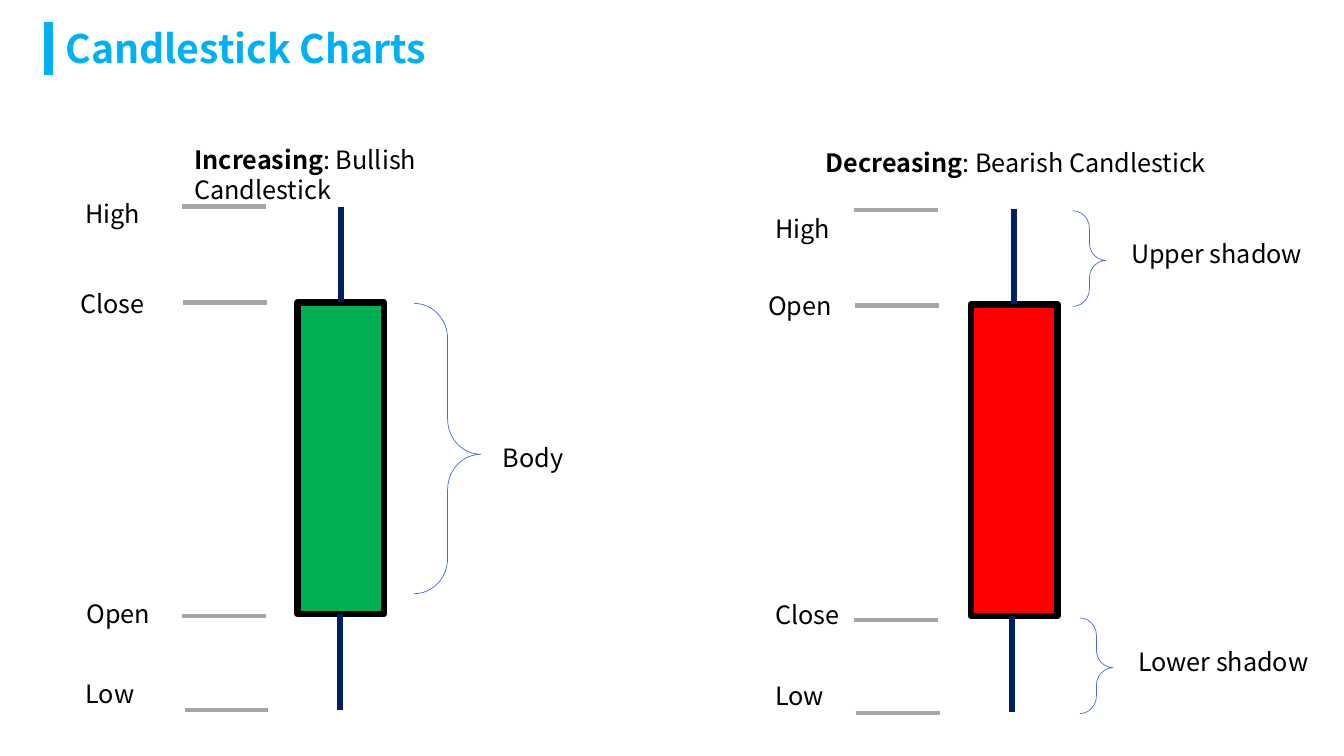
from lxml.etree import SubElement
from pptx import Presentation
from pptx.dml.color import RGBColor
from pptx.enum.shapes import MSO_CONNECTOR as Connector, MSO_SHAPE as Preset
from pptx.enum.text import MSO_AUTO_SIZE as AutoSize
from pptx.oxml.ns import qn
from pptx.util import Inches, Pt

FONT = "Noto Sans CJK KR"
BLACK = RGBColor(0, 0, 0)
SKY = RGBColor(0x00, 0xB0, 0xF0)
GREEN = RGBColor(0x00, 0xB0, 0x50)
RED = RGBColor(0xFF, 0, 0)
NAVY = RGBColor(0x00, 0x20, 0x60)
GREY = RGBColor(0xA6, 0xA6, 0xA6)
BLUE = RGBColor(0x44, 0x72, 0xC4)

COLUMN = ROW = Inches(1)
TEXT_ROWS = 0.4
LABEL_COLUMNS = 0.96
TICK_COLUMNS = 0.83
BODY_COLUMNS, BODY_ROWS, WICK_ROWS = 0.86, 3.09, 0.95


def place(left, top, width, height):
    """Turn grid columns and rows into slide lengths."""
    return [int(n * unit) for n, unit in
            zip((left, top, width, height), (COLUMN, ROW, COLUMN, ROW))]


def add_text(slide, text, left, top, width, height=TEXT_ROWS,
             size=18, color=BLACK, bold_part=""):
    """Write one paragraph, with an optional bold opening."""
    box = slide.shapes.add_textbox(*place(left, top, width, height))
    frame = box.text_frame
    frame.word_wrap = True
    frame.auto_size = AutoSize.SHAPE_TO_FIT_TEXT
    paragraph = frame.paragraphs[0]
    for part, bold in ((bold_part, True), (text, False)):
        if part:
            run = paragraph.add_run()
            run.text = part
            run.font.name, run.font.size = FONT, Pt(size)
            run.font.bold, run.font.color.rgb = bold, color


def add_line(shapes, left, top, columns, rows, color, weight):
    """Draw a straight line that spans the given columns and rows."""
    ends = place(left, top, left + columns, top + rows)
    line = shapes.add_connector(Connector.STRAIGHT, *ends)
    line.line.color.rgb, line.line.width = color, Pt(weight)
    SubElement(line._element.spPr, qn("a:effectLst"))


def add_candle(slide, left, top, color, upper_wick, lower_wick):
    """Group a candle body with its upper and lower wicks."""
    parts = slide.shapes.add_group_shape().shapes
    body = parts.add_shape(Preset.RECTANGLE,
                           *place(left, top, BODY_COLUMNS, BODY_ROWS))
    body.shadow.inherit = False
    body.fill.solid()
    body.fill.fore_color.rgb = color
    body.line.color.rgb, body.line.width = BLACK, Pt(4.5)
    for wick, wick_top in ((upper_wick, top - WICK_ROWS),
                           (lower_wick, top + BODY_ROWS)):
        add_line(parts, wick, wick_top, 0, WICK_ROWS, NAVY, 4.5)


def add_price(slide, label, label_left, label_top, tick_left, tick_top):
    """Name a price level and mark it with a tick."""
    add_text(slide, label, label_left, label_top, LABEL_COLUMNS)
    add_line(slide.shapes, tick_left, tick_top, TICK_COLUMNS, 0, GREY, 3)


def add_brace(slide, left, top, width, height, label, label_top, label_width):
    """Bracket a candle part and name it to the right."""
    brace = slide.shapes.add_shape(Preset.RIGHT_BRACE,
                                   *place(left, top, width, height))
    brace.shadow.inherit = False
    brace.fill.background()
    brace.line.color.rgb, brace.line.width = BLUE, Pt(0.5)
    brace.adjustments[0], brace.adjustments[1] = 0.53, 0.52
    gap = 0.12 if width > 0.5 else 0.15
    add_text(slide, label, left + width + gap, label_top, label_width)


def main():
    """Build the candlestick slide."""
    deck = Presentation()
    deck.slide_width, deck.slide_height = Inches(13.33), Inches(7.5)
    slide = deck.slides.add_slide(deck.slide_layouts[6])

    add_candle(slide, 2.95, 3, GREEN, 3.38, 3.37)
    add_candle(slide, 9.63, 3.02, RED, 10.06, 10.04)
    add_text(slide, ": Bullish Candlestick", 1.83, 1.38, 3.7,
             bold_part="Increasing")
    add_text(slide, ": Bearish Candlestick", 8.09, 1.41, 4.26,
             bold_part="Decreasing")

    for price in (
        ("High", 0.75, 1.92, 1.81, 2.05),
        ("Close", 0.7, 2.81, 1.82, 3),
        ("Open", 0.76, 5.89, 1.81, 6.11),
        ("Low", 0.75, 6.68, 1.83, 7.04),
        ("High", 7.59, 2.07, 8.47, 2.08),
        ("Open", 7.52, 2.83, 8.48, 3.03),
        ("Close", 7.59, 5.9, 8.47, 6.15),
        ("Low", 7.59, 6.7, 8.49, 7.07),
    ):
        add_price(slide, *price)

    add_brace(slide, 4.11, 3.01, 0.66, 2.88, "Body", 4.34, LABEL_COLUMNS)
    for name, left, top in (("Upper", 10.64, 2.09), ("Lower", 10.71, 6.13)):
        add_brace(slide, left, top, 0.33, WICK_ROWS,
                  f"{name} shadow", top + 0.23, 1.97)

    add_line(slide.shapes, 0.48, 0.22, 0, 0.52, SKY, 6)
    add_text(slide, "", 0.55, 0.19, 5.2, 0.57, 28, SKY, "Candlestick Charts")
    deck.save("out.pptx")


main()
